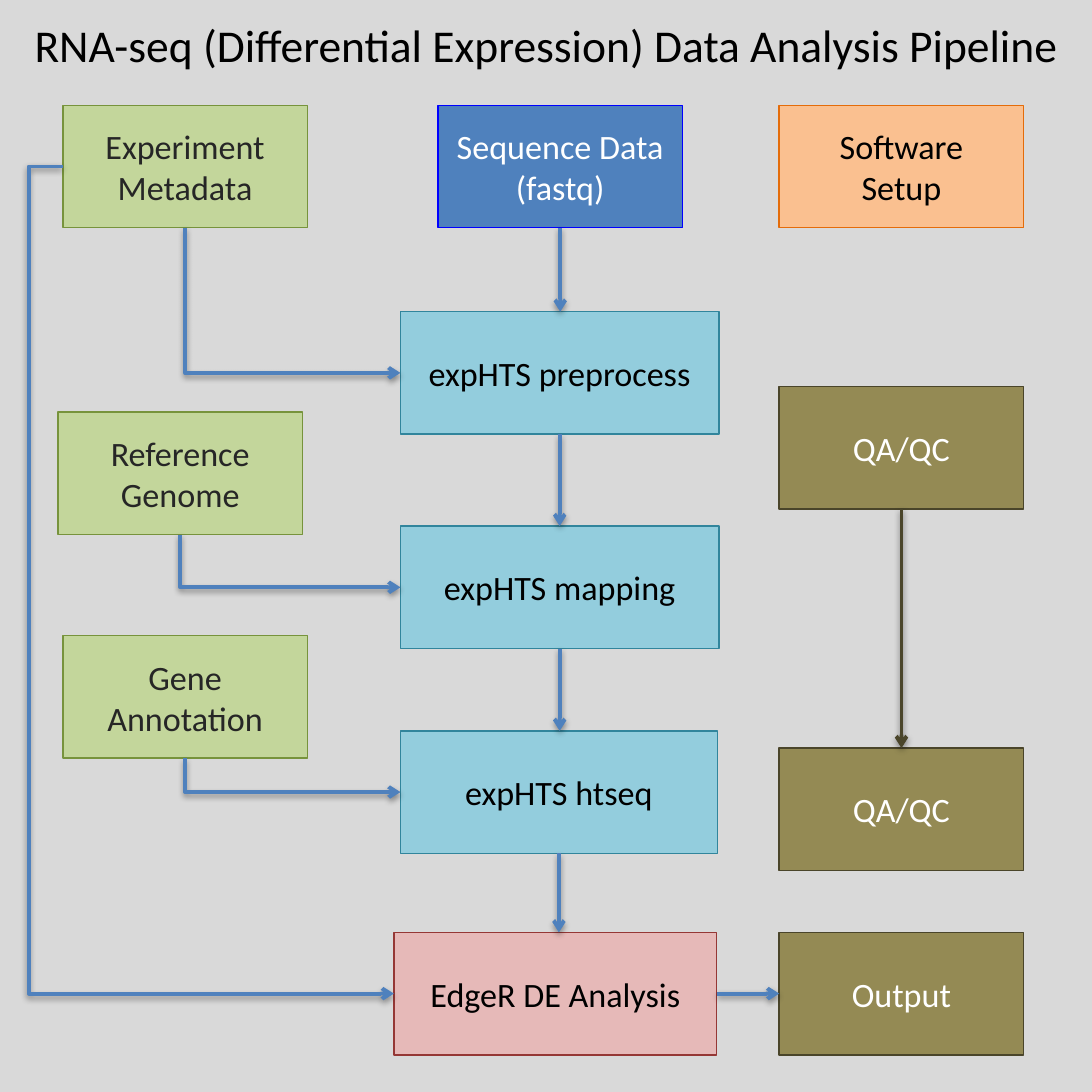
from lxml.etree import SubElement
from pptx import Presentation
from pptx.dml.color import RGBColor
from pptx.enum.shapes import MSO_CONNECTOR, MSO_SHAPE
from pptx.enum.text import MSO_ANCHOR, MSO_AUTO_SIZE, PP_ALIGN
from pptx.oxml import parse_xml
from pptx.oxml.ns import nsdecls, qn
from pptx.util import Cm, Pt

SIDE = 20.32
TITLE = "RNA-seq (Differential Expression) Data Analysis Pipeline"
BLUE, OLIVE = "4F81BD", "4A452A"

# Box styles: fill, outline, text
STYLES = {
    "input": ("C3D69B", "77933C", "262626"),
    "setup": ("FAC090", "E46C0A", "000000"),
    "reads": (BLUE, "0000FF", "FFFFFF"),
    "step": ("93CDDD", "31859C", "000000"),
    "analysis": ("E6B9B8", "953735", "000000"),
    "result": ("948A54", OLIVE, "FFFFFF"),
}

# Boxes: key, text, style, left, top, width in cm
BOX_W, BOX_H, STEP_W = 4.55, 2.28, 5.93
INPUT_X, STEP_X, RESULT_X = 1.17, 7.45, 14.5
BOXES = [
    ("metadata", "Experiment Metadata", "input", INPUT_X, 1.96, BOX_W),
    ("software", "Software\nSetup", "setup", RESULT_X, 1.96, BOX_W),
    ("fastq", "Sequence Data (fastq)", "reads", 8.15, 1.96, BOX_W),
    ("preprocess", "expHTS preprocess", "step", STEP_X, 5.8, STEP_W),
    ("genome", "Reference\nGenome", "input", 1.08, 7.67, BOX_W),
    ("annotation", "Gene\nAnnotation", "input", INPUT_X, 11.83, BOX_W),
    ("mapping", "expHTS mapping", "step", STEP_X, 9.79, STEP_W),
    ("htseq", "expHTS htseq", "step", STEP_X, 13.6, 5.9),
    ("edger", "EdgeR DE Analysis", "analysis", 7.33, 17.35, 6.01),
    ("qc_reads", "QA/QC", "result", RESULT_X, 7.19, BOX_W),
    ("qc_counts", "QA/QC", "result", RESULT_X, 13.92, BOX_W),
    ("output", "Output", "result", RESULT_X, 17.35, BOX_W),
]

# Arrows: from, to, route, colour
ARROWS = [
    ("qc_reads", "qc_counts", "down", OLIVE),
    ("fastq", "preprocess", "down", BLUE),
    ("preprocess", "mapping", "down", BLUE),
    ("mapping", "htseq", "down", BLUE),
    ("htseq", "edger", "down", BLUE),
    ("metadata", "preprocess", "corner", BLUE),
    ("genome", "mapping", "corner", BLUE),
    ("annotation", "htseq", "corner", BLUE),
    ("metadata", "edger", "around", BLUE),
    ("edger", "output", "right", BLUE),
]
# Connection sites: 0 top, 1 left, 2 bottom, 3 right
SITES = {"down": (2, 0), "corner": (2, 1), "around": (1, 1), "right": (3, 1)}
AROUND_ADJ = -10300

SHADOW = f"""<a:effectLst {nsdecls('a')}>
  <a:outerShdw blurRad="40000" dist="20000" dir="5400000" rotWithShape="0">
    <a:srgbClr val="000000"><a:alpha val="38000"/></a:srgbClr>
  </a:outerShdw></a:effectLst>"""


def rgb(value):
    return RGBColor.from_string(value)


def add_text(tf, text, size, color):
    tf.word_wrap = True
    for i, line in enumerate(text.split("\n")):
        p = tf.add_paragraph() if i else tf.paragraphs[0]
        p.alignment = PP_ALIGN.CENTER
        r = p.add_run()
        r.text = line
        r.font.name, r.font.size = "Calibri", Pt(size)
        r.font.color.rgb = rgb(color)


def add_box(s, text, style, left, top, width):
    fill, line, color = STYLES[style]
    sp = s.shapes.add_shape(MSO_SHAPE.RECTANGLE, Cm(left), Cm(top),
                            Cm(width), Cm(BOX_H))
    sp.shadow.inherit = False
    sp.fill.solid()
    sp.fill.fore_color.rgb = rgb(fill)
    sp.line.color.rgb, sp.line.width = rgb(line), Pt(0.75)
    sp.text_frame.vertical_anchor = MSO_ANCHOR.MIDDLE
    add_text(sp.text_frame, text, 18, color)
    return sp


def site_point(sp, site):
    fx, fy = [(0.5, 0), (0, 0.5), (0.5, 1), (1, 0.5)][site]
    return int(sp.left + fx * sp.width), int(sp.top + fy * sp.height)


def add_arrow(s, start, end, route, color):
    first, last = SITES[route]
    (x1, y1), (x2, y2) = site_point(start, first), site_point(end, last)
    bent = route in ("corner", "around")
    if route == "down":
        x2 = x1  # stay vertical even when the boxes are off centre
    kind = MSO_CONNECTOR.ELBOW if bent else MSO_CONNECTOR.STRAIGHT
    c = s.shapes.add_connector(kind, x1, y1, x2, y2)
    c.begin_connect(start, first)
    if route != "down":
        c.end_connect(end, last)
    c.line.color.rgb, c.line.width = rgb(color), Pt(2)
    pr = c._element.spPr
    SubElement(pr.find(qn("a:ln")), qn("a:tailEnd"), type="arrow")
    pr.append(parse_xml(SHADOW))
    geom = pr.find(qn("a:prstGeom"))
    if route == "around":
        SubElement(geom.find(qn("a:avLst")), qn("a:gd"), name="adj1",
                   fmla=f"val {AROUND_ADJ}")
    if route == "corner":
        # A single bend, turned to go down first and then right
        geom.set("prst", "bentConnector2")
        w, h = x2 - x1, y2 - y1
        c.left, c.top = x1 + (w - h) // 2, y1 + (h - w) // 2
        c.width, c.height = h, w
        xfrm = pr.find(qn("a:xfrm"))
        xfrm.set("rot", "16200000")
        xfrm.set("flipH", "1")


prs = Presentation()
prs.slide_width = prs.slide_height = Cm(SIDE)
s = prs.slides.add_slide(prs.slide_layouts[6])
s.background.fill.solid()
s.background.fill.fore_color.rgb = rgb("D9D9D9")

# Title
title = s.shapes.add_textbox(0, Cm(0.2), Cm(SIDE), Cm(1.28))
add_text(title.text_frame, TITLE, 24, "000000")
title.text_frame.auto_size = MSO_AUTO_SIZE.SHAPE_TO_FIT_TEXT

# Boxes and the arrows between them
boxes = {key: add_box(s, *rest) for key, *rest in BOXES}
for start, end, route, color in ARROWS:
    add_arrow(s, boxes[start], boxes[end], route, color)

prs.save("out.pptx")
